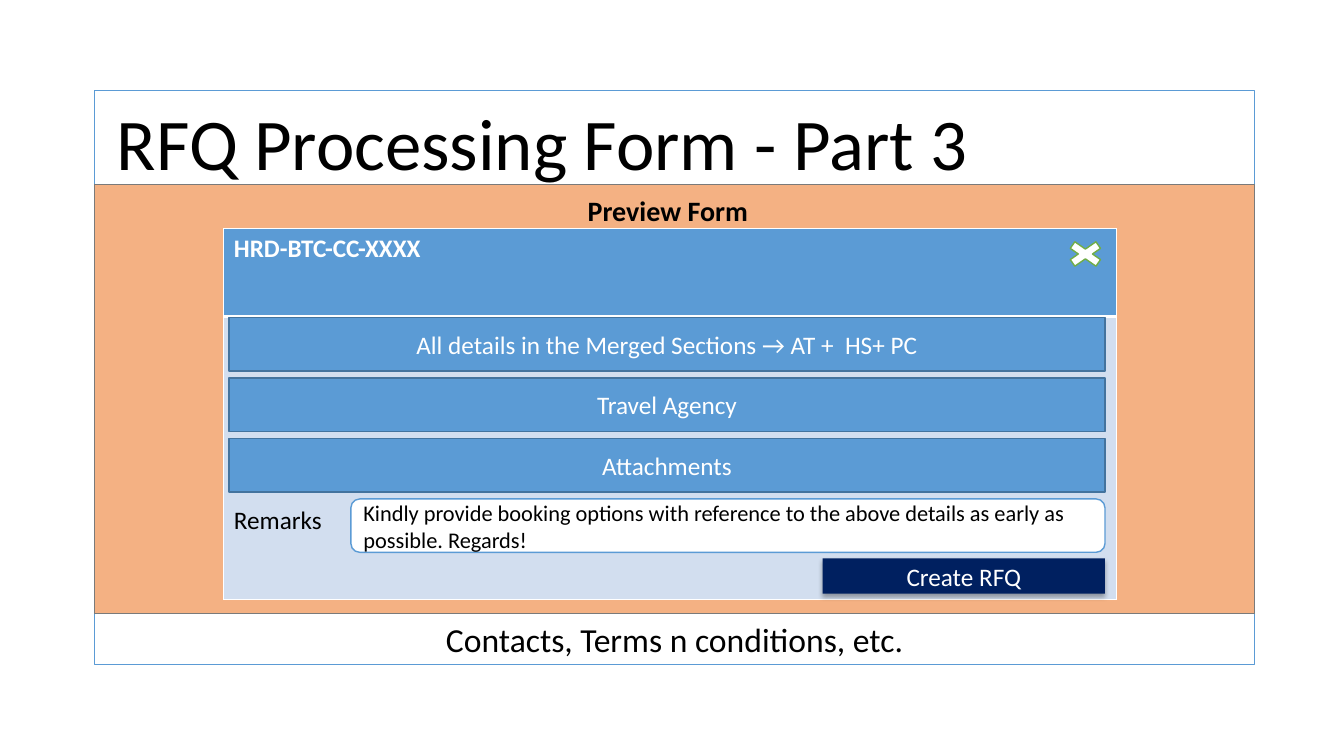
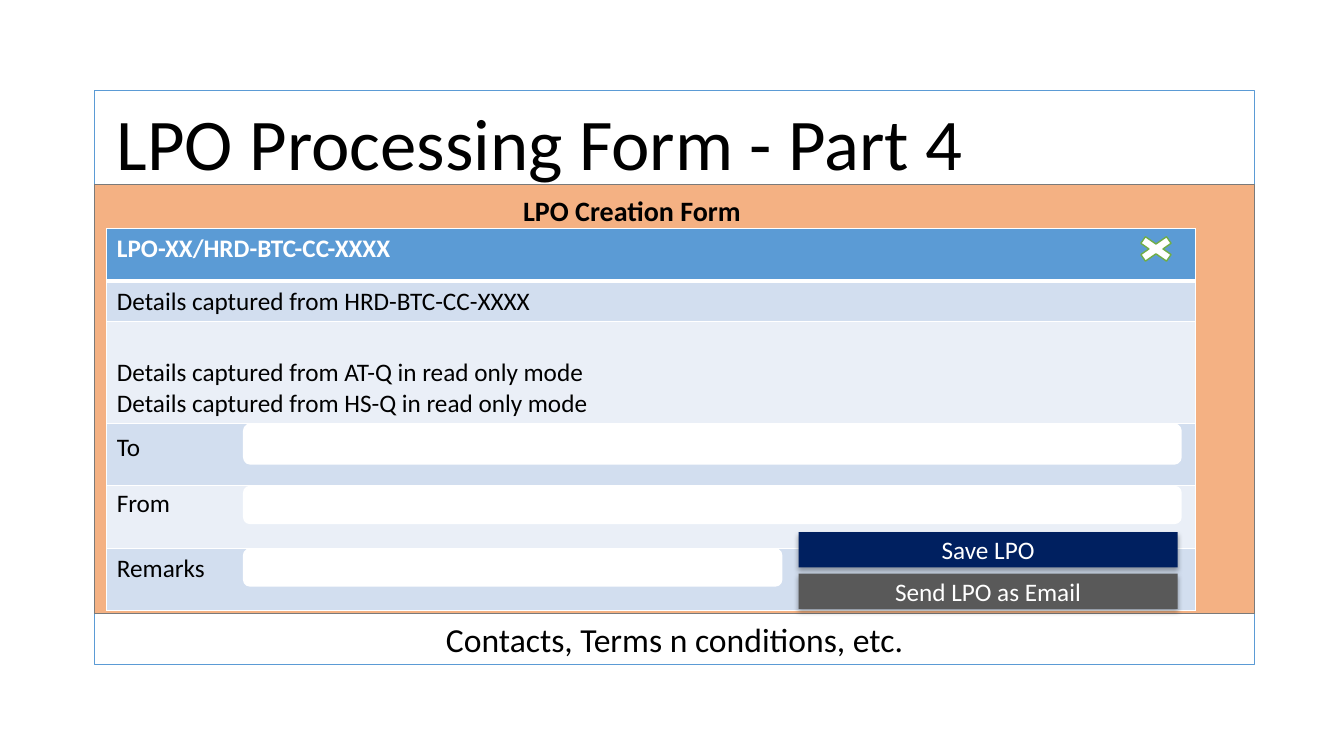
from collections import namedtuple

from lxml.etree import SubElement
from pptx import Presentation
from pptx.dml.color import RGBColor
from pptx.enum.shapes import MSO_SHAPE as Preset
from pptx.enum.text import MSO_ANCHOR as Anchor, PP_ALIGN as Align
from pptx.oxml.ns import qn
from pptx.util import Emu, Pt

PX = 9144  # 100 px to the inch
FONT = "Calibri"
COLORS = {
    "white": "FFFFFF", "black": "000000", "blue": "5B9BD5",
    "bar_edge": "43739E", "orange": "F4B183", "orange_edge": "7A7A7A",
    "navy": "002060", "gray": "595959", "green": "70AD47",
    "band_dark": "D2DEEF", "band_light": "EAEFF7",
}

Box = namedtuple("Box", "x y w h")
PAGE = Box(94, 90, 1150, 569)
PREVIEW = Box(222, 227, 885, 368)
LPO = Box(106, 227, 1080, 378)


def px(value):
    return Emu(value * PX)


def rgb(name):
    return RGBColor.from_string(COLORS[name])


def write(frame, text, size, color="black", bold=False, align=Align.LEFT):
    frame.text = text
    for paragraph in frame.paragraphs:
        paragraph.alignment = align
        paragraph.font.size = Pt(size)
        for run in paragraph.runs:
            font = run.font
            font.name, font.size, font.bold = FONT, Pt(size), bold
            font.color.rgb = rgb(color)


def add_panel(shapes, box, fill, line=None, weight=1, preset=Preset.RECTANGLE):
    panel = shapes.add_shape(preset, *map(px, box))
    panel.shadow.inherit = False
    panel.fill.solid()
    panel.fill.fore_color.rgb = rgb(fill)
    if line:
        panel.line.color.rgb = rgb(line)
        panel.line.width = Pt(weight)
    else:
        panel.line.fill.background()
    panel.text_frame.word_wrap = True
    panel.text_frame.vertical_anchor = Anchor.MIDDLE
    return panel


def add_label(shapes, box, text, size, **style):
    label = shapes.add_textbox(*map(px, box))
    label.text_frame.word_wrap = True
    write(label.text_frame, text, size, **style)


def add_button(shapes, box, text, fill):
    button = add_panel(shapes, box, fill)
    write(button.text_frame, text, 18, "white", align=Align.CENTER)
    # Soft shadow straight below the button
    effects = button._element.spPr.find(qn("a:effectLst"))
    shadow = SubElement(effects, qn("a:outerShdw"), blurRad=str(Pt(3.5)),
                        dist=str(Pt(2.2)), dir="5400000", rotWithShape="0")
    tint = SubElement(shadow, qn("a:srgbClr"), val=COLORS["black"])
    SubElement(tint, qn("a:alpha"), val="32000")


def add_field(shapes, box, line, weight):
    return add_panel(shapes, box, "white", line, weight,
                     Preset.ROUNDED_RECTANGLE)


def add_close_mark(shapes, x, y):
    add_panel(shapes, Box(x, y, 49, 34), "white", "green",
              preset=Preset.MATH_MULTIPLY)


def set_border(cell, side, weight):
    edge = SubElement(cell._tc.get_or_add_tcPr(), qn("a:ln" + side),
                      w=str(Pt(weight)))
    fill = SubElement(edge, qn("a:solidFill"))
    SubElement(fill, qn("a:srgbClr"), val=COLORS["white"])


def add_form_table(shapes, box, rows):
    """Rows are (height, text, top margin); the first one is the header."""
    table = shapes.add_table(len(rows), 1, *map(px, box)).table
    table.first_row = table.horz_banding = False
    for index, (height, text, margin) in enumerate(rows):
        header = index == 0
        table.rows[index].height = px(height)
        cell = table.cell(index, 0)
        cell.margin_top = px(margin)
        for side in ("L", "R", "T", "B") if header else ("L", "R", "B"):
            set_border(cell, side, 3 if header and side == "B" else 1)
        bands = ("band_light", "band_dark")
        cell.fill.solid()
        cell.fill.fore_color.rgb = rgb("blue" if header else bands[index % 2])
        write(cell.text_frame, text, 18, "white" if header else "black",
              bold=header)


def build_page_frame(slide, box, title):
    """White page with a title, an orange body and a footer."""
    shapes = slide.shapes.add_group_shape().shapes
    head, foot = 93, 50
    add_panel(shapes, box, "white", "blue")
    add_panel(shapes, Box(box.x, box.y + head, box.w, box.h - head - foot),
              "orange", "orange_edge")
    add_label(shapes, Box(box.x + 12, box.y + 2, 1112, 98), title, 52)
    add_label(shapes, Box(box.x, box.y + box.h - foot, box.w, foot),
              "Contacts, Terms n conditions, etc.", 24, align=Align.CENTER)


def build_preview_form(slide, box):
    shapes = slide.shapes
    add_label(shapes, Box(box.x + 351, box.y - 40, 301, 44),
              "Preview Form", 20, bold=True)
    add_form_table(shapes, box, [(87, "HRD-BTC-CC-XXXX", 5),
                                 (box.h - 87, "Remarks", 188)])
    add_close_mark(shapes, box.x + 830, box.y + 8)

    # Stacked sections, then remarks and the button on the same pitch
    left, right, top, pitch, height = box.x + 5, box.x + 874, box.y + 88, 60, 53
    sections = ("All details in the Merged Sections → AT +  HS+ PC",
                "Travel Agency", "Attachments")
    for index, section in enumerate(sections):
        bar = add_panel(shapes, Box(left, top + index * pitch, right - left,
                                    height), "blue", "bar_edge")
        write(bar.text_frame, section, 18, "white", align=Align.CENTER)
    top += len(sections) * pitch
    remarks = add_field(shapes, Box(right - 748, top, 748, height), "blue", 1)
    write(remarks.text_frame, "Kindly provide booking options with reference "
          "to the above details as early as possible. Regards!", 16)
    add_button(shapes, Box(right - 280, top + pitch - 1, 280, 35),
               "Create RFQ", "navy")


def build_lpo_form(slide, box):
    shapes = slide.shapes
    pitch = 62
    add_label(shapes, Box(box.x + 403, box.y - 40, 365, 44),
              "LPO Creation Form", 20, bold=True)
    add_form_table(shapes, box, [
        (52, "LPO-XX/HRD-BTC-CC-XXXX", 5),
        (40, "Details captured from HRD-BTC-CC-XXXX", 5),
        (100, "Details captured from AT-Q in read only mode\n"
              "Details captured from HS-Q in read only mode", 36),
        (pitch, "", 5), (pitch, "", 5), (pitch, "Remarks", 5)])
    add_close_mark(shapes, box.x + 1016, box.y + 3)

    # Entry fields, one in each of the last three rows
    entries = box.y + box.h - 3 * pitch
    for index, (width, height) in enumerate(((929, 39), (929, 36), (533, 36))):
        add_field(shapes, Box(box.x + 136, entries + 2 + index * pitch,
                              width, height), "white", 1.5)
    add_label(shapes, Box(box.x, entries + 4, 92, 40), "To", 18)
    add_label(shapes, Box(box.x, entries + pitch - 2, 92, 40), "From", 18)

    # Actions
    actions = (("Save LPO", "navy"), ("Send LPO as Email", "gray"))
    for index, (action, fill) in enumerate(actions):
        add_button(shapes, Box(box.x + 686, box.y + 301 + index * 41, 376, 35),
                   action, fill)


def main():
    deck = Presentation()
    deck.slide_width, deck.slide_height = px(1333), px(750)
    pages = (("RFQ Processing Form - Part 3", build_preview_form, PREVIEW),
             ("LPO Processing Form - Part 4", build_lpo_form, LPO))
    for title, build_form, form_box in pages:
        slide = deck.slides.add_slide(deck.slide_layouts[6])
        build_page_frame(slide, PAGE, title)
        build_form(slide, form_box)
    deck.save("out.pptx")


if __name__ == "__main__":
    main()
